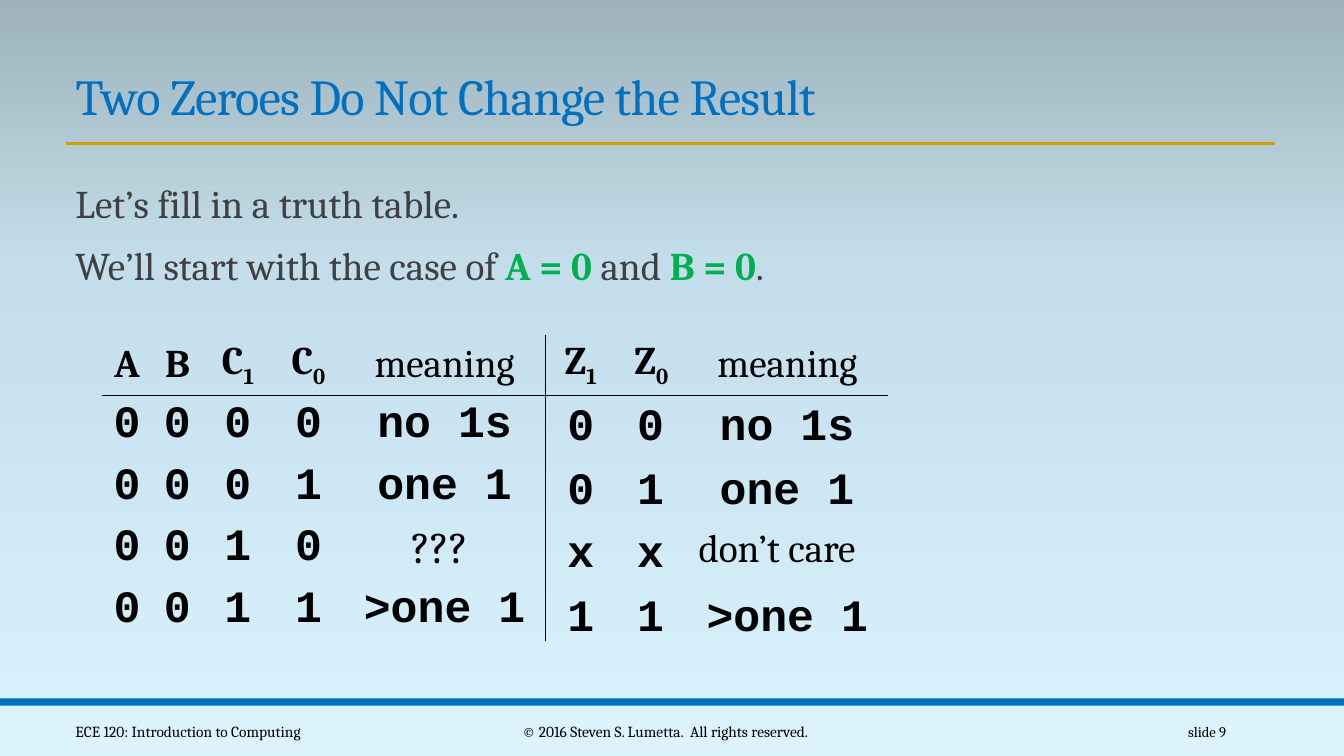
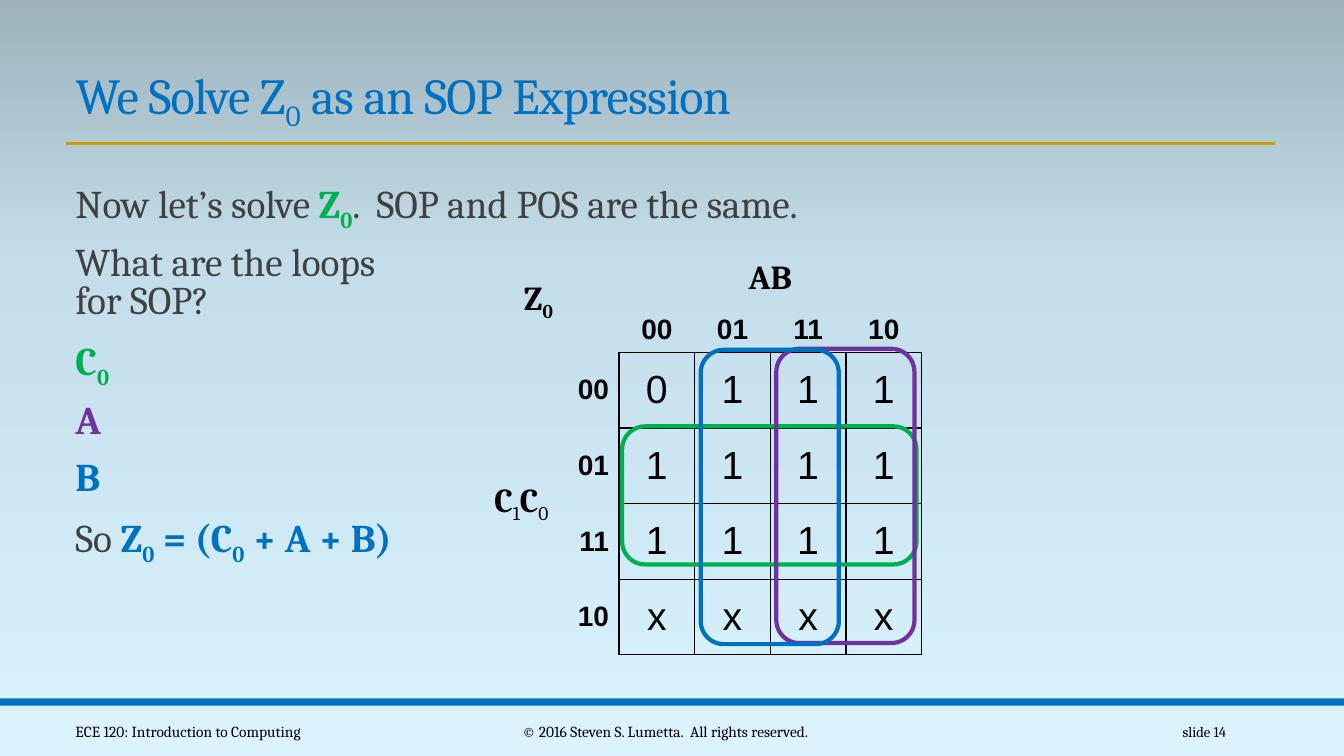
from copy import deepcopy
from dataclasses import dataclass

from pptx import Presentation
from pptx import util as u
from pptx.dml.color import RGBColor
from pptx.enum import shapes, text
from pptx.oxml import parse_xml
from pptx.oxml.ns import nsdecls, qn

Inches, Pt = u.Inches, u.Pt
LEFT, CENTER, RIGHT = text.PP_ALIGN.LEFT, text.PP_ALIGN.CENTER, text.PP_ALIGN.RIGHT
TOP, MIDDLE, BOTTOM = (text.MSO_ANCHOR.TOP, text.MSO_ANCHOR.MIDDLE,
                       text.MSO_ANCHOR.BOTTOM)


@dataclass(frozen=True)
class Theme:
    blue: str = "0070C0"
    green: str = "00B050"
    purple: str = "7030A0"
    gold: str = "D09E00"
    gray: str = "404040"
    black: str = "000000"
    footer_fill: str = "DCF3FD"
    sky: tuple = ((0, "DAF4FF"), (0.65, "C3DEEA"), (1, "9DB2BA"))
    serif: str = "Cambria"
    sans: str = "Arial"
    mono: str = "Courier New"
    title: float = 36
    digit: float = 32
    body: float = 28
    axis: float = 24
    label: float = 20
    footer: float = 11
    number: float = 10.5
    no_grid: str = "{2D5ABB26-0587-4C30-8999-92F81FD0307C}"


THEME = Theme()


@dataclass(frozen=True)
class Style:
    size: float
    font: str = THEME.serif
    color: str = THEME.black
    bold: bool = False


@dataclass(frozen=True)
class Span:
    """A piece of text; color, when given, also makes it bold."""
    text: str
    color: str | None = None
    sub: bool = False
    bold: bool | None = None


@dataclass(frozen=True)
class Area:
    left: float
    top: float
    width: float
    height: float

    def lengths(self) -> tuple:
        return tuple(Inches(v) for v in (self.left, self.top, self.width, self.height))


@dataclass(frozen=True)
class Footer:
    text: str
    area: Area
    align: int
    size: float = THEME.footer


@dataclass(frozen=True)
class OutputRow:
    z1: str
    z0: str
    meaning: str
    left: float


@dataclass(frozen=True)
class Loop:
    color: str
    area: Area


TITLE = Style(THEME.title, color=THEME.blue)
BODY = Style(THEME.body, color=THEME.gray)
HEADING = Style(THEME.body, bold=True)
MEANING = Style(THEME.body)
DIGIT = Style(THEME.digit, THEME.mono, bold=True)
UNKNOWN = Style(THEME.digit)
AXIS = Style(THEME.axis, bold=True)
LABEL = Style(THEME.label, THEME.sans, bold=True)
MAP_VALUE = Style(THEME.body, THEME.sans)


def rgb(color: str) -> RGBColor:
    return RGBColor.from_string(color)


# Text
def variable(name: str, index: str, color: str | None = None) -> list[Span]:
    return [Span(name, color), Span(index, color, sub=True)]


def add_spans(para, spans: list[Span], style: Style, spacing: int = 0) -> None:
    for span in spans:
        for number, line in enumerate(span.text.split("\n")):
            if number:
                para.add_line_break()
            run = para.add_run()
            run.text = line
            font = run.font
            font.name, font.size = style.font, Pt(style.size)
            font.color.rgb = rgb(span.color or style.color)
            font.bold = (style.bold or span.color is not None
                         if span.bold is None else span.bold)
            properties = run._r.get_or_add_rPr()
            if span.sub:
                properties.set("baseline", "-25000")
            if spacing:
                properties.set("spc", str(spacing))


def add_text(page, area: Area, spans: list[Span], style: Style,
             align=LEFT, anchor=TOP) -> None:
    frame = page.shapes.add_textbox(*area.lengths()).text_frame
    frame.word_wrap = True
    frame.vertical_anchor = anchor
    frame.paragraphs[0].alignment = align
    add_spans(frame.paragraphs[0], spans, style)


def add_body(page, paragraphs: list[list[Span]], line_spacing: float) -> None:
    box = page.shapes.add_textbox(*Area(0.65, 1.78, 8.52, 4.64).lengths())
    frame = box.text_frame
    frame.word_wrap = True
    for number, spans in enumerate(paragraphs):
        para = frame.add_paragraph() if number else frame.paragraphs[0]
        para.line_spacing = line_spacing
        para.space_before, para.space_after = Pt(12), Pt(2)
        add_spans(para, spans, BODY)


# Shared slide frame
def paint_background(deck) -> None:
    master = deck.slide_master
    fill = master.background.fill
    fill.gradient()
    stop_list = master.element.find(".//" + qn("a:gsLst"))
    stop_list.append(deepcopy(stop_list[0]))
    for stop, (position, color) in zip(fill.gradient_stops, THEME.sky):
        stop.position = position
        stop.color.rgb = rgb(color)
    fill.gradient_angle = 90


def add_band(page, area: Area, color: str) -> None:
    band = page.shapes.add_shape(shapes.MSO_SHAPE.RECTANGLE, *area.lengths())
    band.shadow.inherit = False
    band.fill.solid()
    band.fill.fore_color.rgb = rgb(color)
    band.line.fill.background()


def add_page(deck, title: list[Span], number: int):
    page = deck.slides.add_slide(deck.slide_layouts.get_by_name("Title Only"))
    add_band(page, Area(-0.06, 7, 13.39, 0.5), THEME.footer_fill)
    add_band(page, Area(0, 6.93, 13.33, 0.07), THEME.blue)
    rule = page.shapes.add_connector(shapes.MSO_CONNECTOR.STRAIGHT, Inches(0.65),
                                     Inches(1.42), Inches(12.65), Inches(1.42))
    rule.line.color.rgb = rgb(THEME.gold)
    rule.line.width = Pt(2)
    rule._element.spPr.append(parse_xml(f"<a:effectLst {nsdecls('a')}/>"))

    heading = page.shapes.title
    heading.left, heading.top, heading.width, heading.height = Area(
        0.65, 0.59, 12.01, 0.71).lengths()
    frame = heading.text_frame
    frame.auto_size = text.MSO_AUTO_SIZE.NONE
    frame.vertical_anchor = BOTTOM
    para = frame.paragraphs[0]
    para.alignment, para.line_spacing = LEFT, 0.85
    add_spans(para, title, TITLE, spacing=-50)

    for footer in (
        Footer("ECE 120: Introduction to Computing", Area(0.65, 7.06, 3.25, 0.4), LEFT),
        Footer("© 2016 Steven S. Lumetta.  All rights reserved.",
               Area(4.03, 7.06, 5.14, 0.4), CENTER),
        Footer(f"slide {number}", Area(10.83, 7.06, 1.43, 0.4), RIGHT, THEME.number),
    ):
        add_text(page, footer.area, [Span(footer.text)], Style(footer.size),
                 footer.align, MIDDLE)
    return page


# Tables
def add_grid(page, left: float, top: float, widths: list[float], heights: list[float]):
    area = Area(left, top, sum(widths), sum(heights))
    frame = page.shapes.add_table(len(heights), len(widths), *area.lengths())
    table = frame.table
    table.first_row = table.horz_banding = False
    table._tbl.tblPr.find(qn("a:tableStyleId")).text = THEME.no_grid
    for column, width in zip(table.columns, widths):
        column.width = Inches(width)
    for row, height in zip(table.rows, heights):
        row.height = Inches(height)
    # Without vertical margins the text never stretches its row
    for cell in table.iter_cells():
        cell.margin_top = cell.margin_bottom = Inches(0)
    return table


def set_cell(cell, spans: list[Span], style: Style, borders: str = "",
             align=CENTER) -> None:
    """Write a cell; borders names its ruled sides out of L, R, T, B."""
    properties = cell._tc.get_or_add_tcPr()
    ink = f'<a:solidFill><a:srgbClr val="{THEME.black}"/></a:solidFill>'
    for side in "LRTB":
        paint = ink if side in borders else "<a:noFill/>"
        properties.append(parse_xml(
            f'<a:ln{side} {nsdecls("a")} w="12700">{paint}</a:ln{side}>'))
    cell.fill.background()
    cell.vertical_anchor = MIDDLE
    para = cell.text_frame.paragraphs[0]
    para.alignment = align
    add_spans(para, spans, style)


def add_truth_table(page) -> None:
    table = add_grid(page, 1.01, 3.32, [0.5, 0.5, 0.7, 0.7, 2, 0.7, 0.7, 2],
                     [0.6] + [0.61] * 4)
    meaning = [Span("meaning", bold=False)]
    headings = [[Span("A")], [Span("B")], variable("C", "1"), variable("C", "0"),
                meaning, variable("Z", "1"), variable("Z", "0"), meaning]
    divider = {4: "R", 5: "L"}
    for column, spans in enumerate(headings):
        set_cell(table.cell(0, column), spans, HEADING, "B" + divider.get(column, ""))
    for row, result in enumerate(("no 1s", "one 1", "??? ", ">one 1"), start=1):
        values = [*f"00{row - 1:02b}", result, None, None, None]
        for column, value in enumerate(values):
            borders = divider.get(column, "") + ("T" if row == 1 else "")
            style = UNKNOWN if value == "??? " else DIGIT
            set_cell(table.cell(row, column), [Span(value)] if value else [],
                     style, borders)

    # Output columns
    outputs = [OutputRow("0", "0", "no 1s", 7.04), OutputRow("0", "1", "one 1", 7.04),
               OutputRow("x", "x", "don’t care", 6.83),
               OutputRow("1", "1", ">one 1", 6.91)]
    for row, output in enumerate(outputs):
        top = 3.88 + 0.63 * row
        for left, value in ((5.53, output.z1), (6.22, output.z0)):
            add_text(page, Area(left, top, 0.5, 0.64), [Span(value)], DIGIT)
        style = MEANING if output.z1 == "x" else DIGIT
        add_text(page, Area(output.left, top, 2, 0.64), [Span(output.meaning)], style)


def add_karnaugh_map(page) -> None:
    codes = ("00", "01", "11", "10")
    table = add_grid(page, 4.54, 2.49, [1, 0.6] + [0.75] * 4, [0.55, 0.45] + [0.75] * 4)
    table.cell(0, 0).merge(table.cell(1, 1))
    table.cell(0, 2).merge(table.cell(0, 5))
    table.cell(2, 0).merge(table.cell(5, 0))
    set_cell(table.cell(0, 0), variable("Z", "0"), AXIS)
    set_cell(table.cell(0, 2), [Span("AB")], AXIS)
    set_cell(table.cell(2, 0), [Span("C"), Span("1", sub=True, bold=False), Span("C"),
                                Span("0", sub=True, bold=False)], AXIS, align=RIGHT)
    for index, (code, values) in enumerate(zip(codes, ("0111", "1111", "1111", "xxxx")),
                                           start=2):
        set_cell(table.cell(1, index), [Span(code)], LABEL, "B")
        set_cell(table.cell(index, 1), [Span(code)], LABEL, "R", RIGHT)
        for column, value in enumerate(values, start=2):
            set_cell(table.cell(index, column), [Span(value)], MAP_VALUE, "LRTB")

    # Loops around the ones
    for loop in (Loop(THEME.green, Area(6.17, 4.23, 2.92, 1.37)),
                 Loop(THEME.purple, Area(7.7, 3.46, 1.37, 2.92)),
                 Loop(THEME.blue, Area(6.95, 3.47, 1.37, 2.92))):
        outline = page.shapes.add_shape(shapes.MSO_SHAPE.ROUNDED_RECTANGLE,
                                        *loop.area.lengths())
        outline.shadow.inherit = False
        outline.fill.background()
        outline.line.color.rgb = rgb(loop.color)
        outline.line.width = Pt(3)


def main() -> None:
    deck = Presentation()
    deck.slide_width, deck.slide_height = Inches(13.33), Inches(7.5)
    paint_background(deck)
    blue, green, purple = THEME.blue, THEME.green, THEME.purple

    # Truth table
    page = add_page(deck, [Span("Two Zeroes Do Not Change the Result")], 9)
    add_body(page, [
        [Span("Let’s fill in a truth table.")],
        [Span("We’ll start with the case of "), Span("A = 0", green), Span(" and "),
         Span("B = 0", green), Span(".")],
    ], 0.9)
    add_truth_table(page)

    # Karnaugh map
    page = add_page(deck, [Span("We Solve Z"), Span("0", sub=True),
                           Span(" as an SOP Expression")], 14)
    add_body(page, [
        [Span("Now let’s solve "), *variable("Z", "0", green),
         Span(".  SOP and POS are the same.")],
        [Span("What are the loops\nfor SOP?")],
        variable("C", "0", green),
        [Span("A", purple)],
        [Span("B", blue)],
        [Span("So "), *variable("Z", "0", blue), Span(" = (", blue),
         *variable("C", "0", blue), Span(" + A + B)", blue)],
    ], 0.8)
    add_karnaugh_map(page)
    deck.save("out.pptx")


if __name__ == "__main__":
    main()
